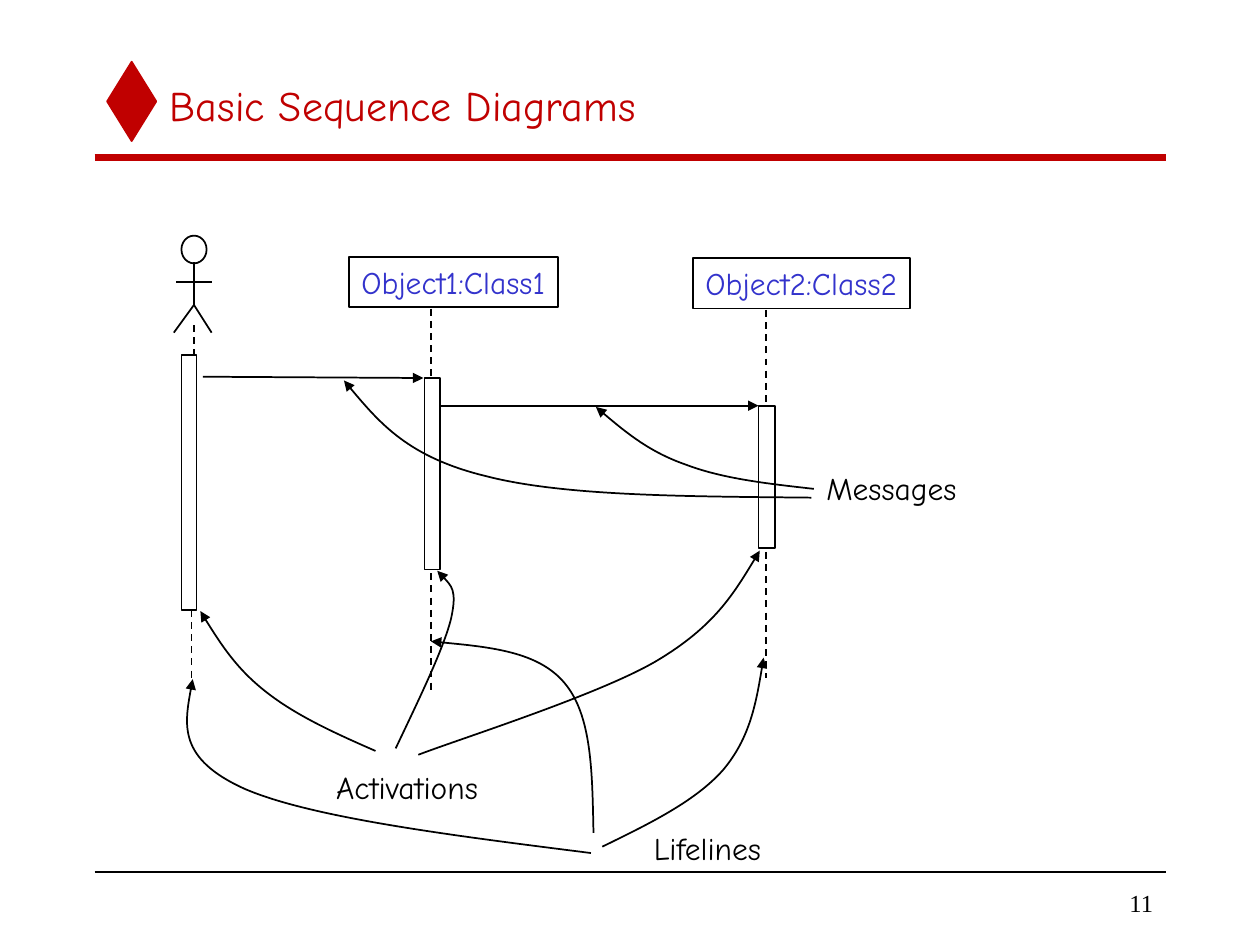
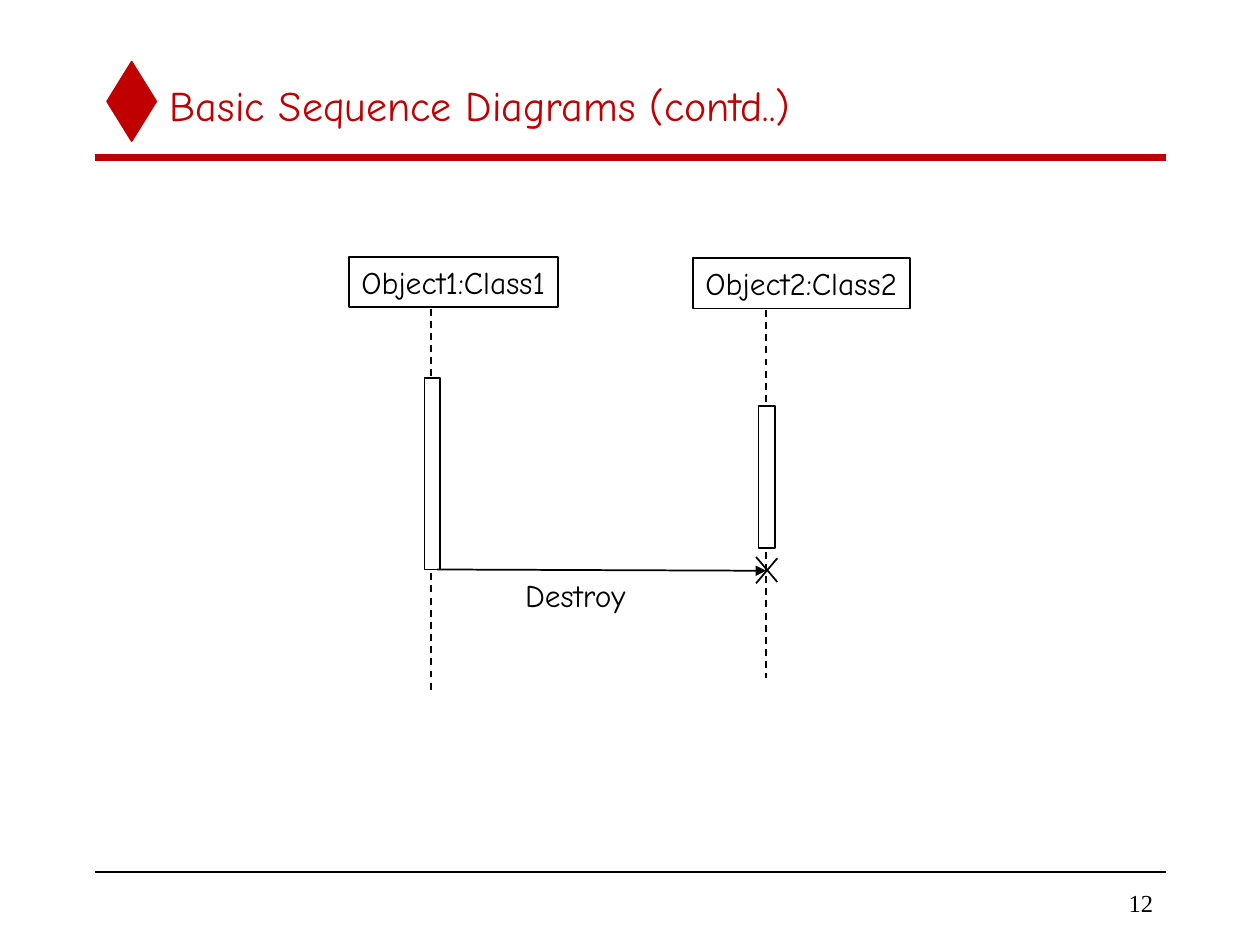
from lxml.etree import SubElement
from pptx import Presentation
from pptx.dml.color import RGBColor
from pptx.enum.dml import MSO_LINE
from pptx.enum.shapes import MSO_CONNECTOR, MSO_SHAPE
from pptx.enum.text import MSO_ANCHOR, MSO_AUTO_SIZE, PP_ALIGN
from pptx.oxml.ns import qn
from pptx.util import Inches, Pt

COLOURS = {"accent": "C00000", "ink": "000000", "object": "3333CC", "paper": "FFFFFF"}
BODY_FONT = "Comic Neue"
NUMBER_FONT = "Times New Roman"
COLUMNS, ROWS = 10, 7.5
THIN, THICK = 0.99, 4


def colour(name):
    return RGBColor.from_string(COLOURS[name])


class Sketch:
    """The shared style and the page being drawn, on a 10 by 7.5 grid."""

    def __init__(self):
        self.deck = Presentation()
        self.deck.slide_width, self.deck.slide_height = Inches(10), Inches(7.5)
        self.column = self.deck.slide_width / COLUMNS
        self.row = self.deck.slide_height / ROWS

    def place(self, *lengths):
        """Turn alternating columns and rows into slide lengths."""
        units = (self.column, self.row)
        return [round(length * units[i % 2]) for i, length in enumerate(lengths)]

    def new_page(self, title, number):
        self.page = self.deck.slides.add_slide(self.deck.slide_layouts[6])
        self.shapes = self.page.shapes
        self.shape(MSO_SHAPE.DIAMOND, 0.85, 0.49, 0.39, 0.63, "accent", "accent")
        self.line((0.75, 1.25), (9.25, 1.25), "accent", THICK)
        self.line((0.75, 6.92), (9.25, 6.92))
        number_box = self.label(str(number), 7.83, 7, 1.42, 0.33, size=14,
                                font=NUMBER_FONT, align=PP_ALIGN.RIGHT)
        title_box = self.label(title, 1.25, 0.5, 8, 0.67, "accent", 24)
        title_box.text_frame.word_wrap = True
        for box in (number_box, title_box):
            box.text_frame.auto_size = MSO_AUTO_SIZE.NONE
            box.text_frame.vertical_anchor = MSO_ANCHOR.MIDDLE

    def outline(self, item, ink="ink", width=THIN, dashed=False, head=None):
        """Style a line; head is headEnd (start) or tailEnd (finish)."""
        item.line.color.rgb = colour(ink)
        item.line.width = Pt(width)
        if dashed:
            item.line.dash_style = MSO_LINE.DASH
        if head:
            stroke = item.element.spPr.find(qn("a:ln"))
            SubElement(stroke, qn("a:" + head), type="triangle")

    def shape(self, kind, left, top, width, height, fill=None, ink="ink"):
        item = self.shapes.add_shape(kind, *self.place(left, top, width, height))
        item.shadow.inherit = False
        if fill:
            item.fill.solid()
            item.fill.fore_color.rgb = colour(fill)
        else:
            item.fill.background()
        self.outline(item, ink)
        return item

    def line(self, start, end, ink="ink", width=THIN, dashed=False, head=None):
        item = self.shapes.add_connector(MSO_CONNECTOR.STRAIGHT, *self.place(*start, *end))
        self.outline(item, ink, width, dashed, head)
        SubElement(item.element.spPr, qn("a:effectLst"))

    def message(self, start, end):
        self.line(start, end, head="tailEnd")

    def lifeline(self, x, *spans):
        for top, bottom in spans:
            self.line((x, top), (x, bottom), dashed=True)

    def path_through(self, points, head=None):
        places = [tuple(self.place(*point)) for point in points]
        builder = self.shapes.build_freeform(*places[0], scale=1.0)
        builder.add_line_segments(places[1:], close=False)
        item = builder.convert_to_shape()
        item.fill.background()
        item.shadow.inherit = False
        self.outline(item, head=head)
        return item

    def pointer(self, *points):
        """A curved arrow; each three points after the tip make one Bezier arc."""
        item = self.path_through(points, "headEnd")
        track = item.element.spPr.find(".//" + qn("a:path"))
        steps = track.findall(qn("a:lnTo"))
        for first in range(0, len(steps), 3):
            arc = SubElement(track, qn("a:cubicBezTo"))
            for step in steps[first:first + 3]:
                arc.append(step[0])
                track.remove(step)

    def fill_text(self, box, text, ink, size, font, align):
        frame = box.text_frame
        frame.word_wrap = False
        frame.auto_size = MSO_AUTO_SIZE.SHAPE_TO_FIT_TEXT
        frame.vertical_anchor = MSO_ANCHOR.TOP
        para = frame.paragraphs[0]
        para.alignment = align
        span = para.add_run()
        span.text = text
        span.font.name, span.font.size = font, Pt(size)
        span.font.color.rgb = colour(ink)

    def label(self, text, left, top, width, height=0.4, ink="ink", size=18,
              font=BODY_FONT, align=PP_ALIGN.LEFT):
        box = self.shapes.add_textbox(*self.place(left, top, width, height))
        self.fill_text(box, text, ink, size, font, align)
        return box

    def object_box(self, text, left, top, width, ink):
        box = self.shape(MSO_SHAPE.RECTANGLE, left, top, width, 0.4)
        self.fill_text(box, text, ink, 18, BODY_FONT, PP_ALIGN.LEFT)

    def activation(self, left, top, width, height):
        self.shape(MSO_SHAPE.RECTANGLE, left, top, width, height)

    def actor(self):
        self.shapes = self.page.shapes.add_group_shape().shapes
        self.shape(MSO_SHAPE.OVAL, 1.44, 1.87, 0.2, 0.22, "paper")
        self.line((1.54, 2.08), (1.54, 2.42))
        self.line((1.4, 2.24), (1.68, 2.24))
        self.path_through([(1.68, 2.64), (1.54, 2.42), (1.38, 2.64)])
        self.shapes = self.page.shapes

    def two_objects(self, ink):
        """The pair of objects, with their activations and lifelines."""
        self.object_box("Object1:Class1", 2.77, 2.04, 1.66, ink)
        self.object_box("Object2:Class2", 5.5, 2.05, 1.72, ink)
        self.activation(3.37, 3, 0.12, 1.52)
        self.activation(6.02, 3.22, 0.13, 1.13)
        self.lifeline(3.42, (2.45, 2.99), (4.55, 5.48))
        self.lifeline(6.08, (2.46, 3.21), (4.38, 5.38))


sketch = Sketch()

# Basic diagram: actor, objects and messages
sketch.new_page("Basic Sequence Diagrams", 11)
sketch.two_objects("object")
sketch.actor()
sketch.activation(1.44, 2.82, 0.12, 2.02)
sketch.lifeline(1.54, (2.58, 2.82))
sketch.lifeline(1.52, (4.84, 5.48))
sketch.message((1.61, 2.99), (3.36, 3))
sketch.message((3.5, 3.22), (6.02, 3.22))

# Activations
sketch.pointer((1.59, 4.85), (1.73, 5.08), (1.88, 5.31), (2.11, 5.49),
               (2.35, 5.68), (2.66, 5.82), (2.98, 5.96))
sketch.pointer((3.47, 4.53), (3.55, 4.61), (3.63, 4.68), (3.58, 4.91),
               (3.52, 5.15), (3.33, 5.54), (3.14, 5.94))
sketch.pointer((6.03, 4.37), (5.85, 4.67), (5.67, 4.97), (5.22, 5.24),
               (4.77, 5.51), (3.63, 5.87), (3.32, 5.99))
sketch.label("Activations", 2.57, 6.05, 1.33)

# Messages
sketch.pointer((2.73, 3.02), (2.98, 3.32), (3.24, 3.63), (3.86, 3.78),
               (4.48, 3.94), (5.46, 3.94), (6.44, 3.95))
sketch.pointer((4.73, 3.23), (4.94, 3.41), (5.16, 3.59), (5.45, 3.69),
               (5.74, 3.8), (6.1, 3.84), (6.46, 3.88))
sketch.label("Messages", 6.46, 3.67, 1.23)

# Lifelines
sketch.pointer((3.42, 5.09), (3.84, 5.13), (4.27, 5.17), (4.48, 5.42),
               (4.7, 5.68), (4.7, 6.14), (4.71, 6.61))
sketch.pointer((1.53, 5.39), (1.47, 5.7), (1.41, 6.02), (1.94, 6.26),
               (2.47, 6.49), (3.58, 6.63), (4.69, 6.77))
sketch.pointer((6.06, 5.22), (6.01, 5.54), (5.95, 5.86), (5.74, 6.11),
               (5.52, 6.36), (5.15, 6.54), (4.78, 6.72))
sketch.label("Lifelines", 5.09, 6.53, 1.05)

# Destroying an object
sketch.new_page("Basic Sequence Diagrams (contd..)", 12)
sketch.two_objects("ink")
sketch.message((3.47, 4.52), (6.08, 4.53))
sketch.line((6, 4.42), (6.17, 4.62))
sketch.line((6.17, 4.43), (6, 4.63))
sketch.label("Destroy", 4.07, 4.52, 1)

sketch.deck.save("out.pptx")
